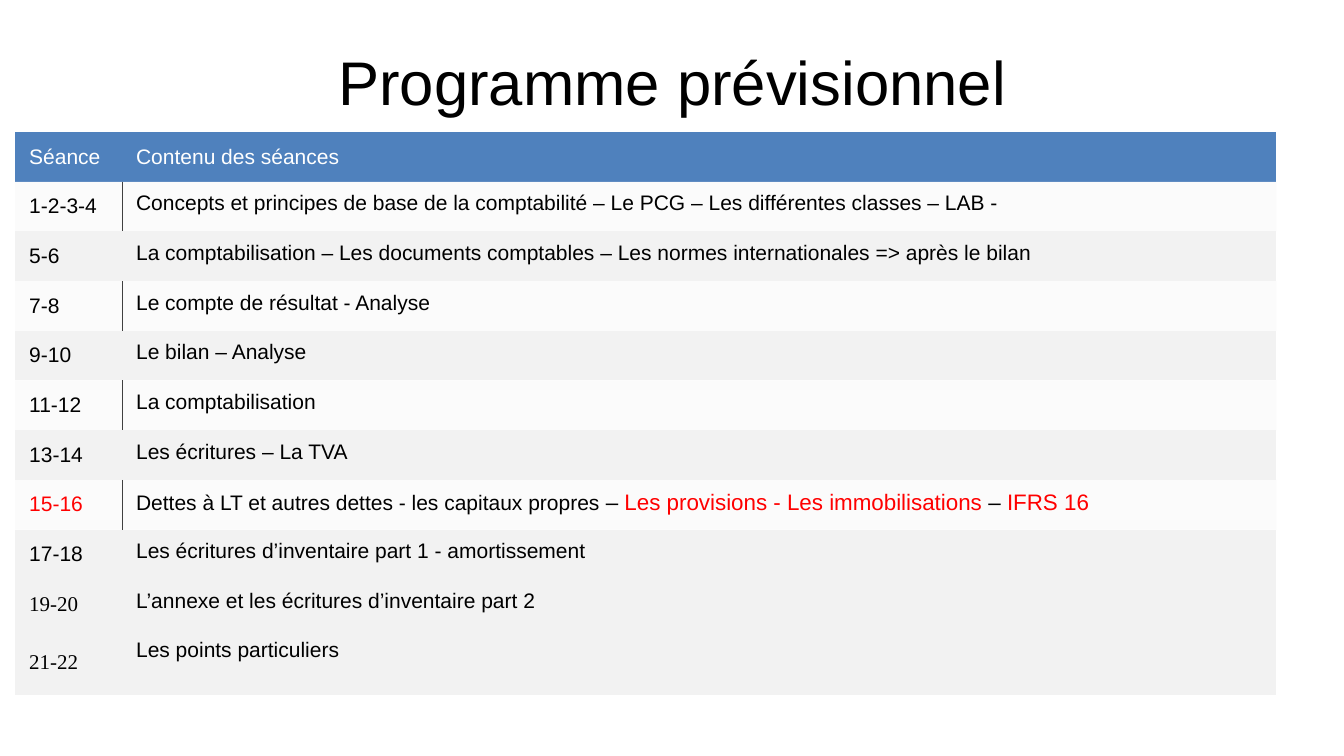
from dataclasses import dataclass

import pptx
import pptx.dml.color
import pptx.enum.text
import pptx.oxml
import pptx.oxml.ns
import pptx.util
from pptx.util import Inches


@dataclass(frozen=True)
class Theme:
    font: str = "Arial"
    serif: str = "Times New Roman"
    title: int = 44
    body: int = 15
    large: int = 16
    black: str = "000000"
    white: str = "FFFFFF"
    red: str = "FF0000"
    blue: str = "4F81BD"
    grey: str = "F2F2F2"
    line: str = "404040"


THEME = Theme()
ALIGN = pptx.enum.text.PP_ALIGN
ANCHOR = pptx.enum.text.MSO_ANCHOR
NO_STYLE = "{2D5ABB26-0587-4C30-8999-92F81FD0307C}"
HEAD = ("Séance", "Contenu des séances")
ROWS = [
    ("1-2-3-4", "Concepts et principes de base de la comptabilité – Le PCG – Les différentes classes – LAB -"),
    ("5-6", "La comptabilisation – Les documents comptables – Les normes internationales => après le bilan"),
    ("7-8", "Le compte de résultat - Analyse"),
    ("9-10", "Le bilan – Analyse"),
    ("11-12", "La comptabilisation"),
    ("13-14", "Les écritures – La TVA"),
    ("15-16", "Dettes à LT et autres dettes - les capitaux propres "),
    ("17-18", "Les écritures d’inventaire part 1 - amortissement"),
    ("19-20", "L’annexe et les écritures d’inventaire part 2"),
    ("21-22", "Les points particuliers"),
]
RED_ROW = 7
EXTRA = [
    ("– ", THEME.black),
    ("Les provisions - Les immobilisations", THEME.red),
    (" – ", THEME.black),
    ("IFRS 16", THEME.red),
]
LAST_BANDED = 7
FIRST_SERIF = 9


def rgb(code):
    return pptx.dml.color.RGBColor.from_string(code)


def style(run, size, color, font=THEME.font):
    run.font.size = pptx.util.Pt(size)
    run.font.name = font
    run.font.color.rgb = rgb(color)


def add_title(slide, text):
    box = slide.shapes.add_textbox(Inches(0.67), Inches(0.3), Inches(12), Inches(1))
    frame = box.text_frame
    frame.word_wrap = True
    frame.vertical_anchor = ANCHOR.MIDDLE
    frame.text = text
    para = frame.paragraphs[0]
    para.alignment = ALIGN.CENTER
    style(para.runs[0], THEME.title, THEME.black)


def fill_cell(cell, color, alpha=None):
    """Fill a cell; alpha is the opacity in percent."""
    cell.fill.solid()
    cell.fill.fore_color.rgb = rgb(color)
    if alpha:
        tint = cell._tc.tcPr.find(".//" + pptx.oxml.ns.qn("a:srgbClr"))
        tint.append(pptx.oxml.parse_xml(
            f'<a:alpha {pptx.oxml.ns.nsdecls("a")} val="{alpha * 1000}"/>'))


def add_border(cell, side):
    """Draw a thin line on side L or R of a cell."""
    cell._tc.get_or_add_tcPr().insert(0, pptx.oxml.parse_xml(
        f'<a:ln{side} {pptx.oxml.ns.nsdecls("a")} w="6350"><a:solidFill>'
        f'<a:srgbClr val="{THEME.line}"/></a:solidFill></a:ln{side}>'))


def set_cell(cell, text, color, font=THEME.font, anchor=ANCHOR.MIDDLE, align=ALIGN.LEFT):
    cell.margin_left, cell.margin_right = Inches(0.14), Inches(0.08)
    cell.margin_top = cell.margin_bottom = Inches(0.1)
    cell.vertical_anchor = anchor
    para = cell.text_frame.paragraphs[0]
    para.text = text
    para.alignment = align
    style(para.runs[0], THEME.body, color, font)


def add_plan(slide):
    count = len(ROWS) + 1
    frame = slide.shapes.add_table(count, 2, Inches(0.15), Inches(1.31), Inches(12.51), Inches(5.59))
    table = frame.table
    table.first_row = table.horz_banding = False
    table._tbl.tblPr.find(pptx.oxml.ns.qn("a:tableStyleId")).text = NO_STYLE
    table.columns[0].width, table.columns[1].width = Inches(1.06), Inches(11.45)
    for row in table.rows:
        row.height = Inches(0.493)
    table.rows[count - 1].height = Inches(0.66)

    for col, text in enumerate(HEAD):
        cell = table.cell(0, col)
        set_cell(cell, text, THEME.white)
        fill_cell(cell, THEME.blue)

    for num, (dates, topic) in enumerate(ROWS, 1):
        left, right = table.cell(num, 0), table.cell(num, 1)
        color = THEME.red if num == RED_ROW else THEME.black
        font = THEME.serif if num >= FIRST_SERIF else THEME.font
        set_cell(left, dates, color, font)
        set_cell(right, topic, THEME.black, anchor=ANCHOR.TOP, align=ALIGN.JUSTIFY)
        light = num % 2 == 1 and num <= LAST_BANDED
        for cell, side in ((left, "R"), (right, "L")):
            fill_cell(cell, THEME.grey, 30 if light else None)
            if light:
                add_border(cell, side)

    para = table.cell(RED_ROW, 1).text_frame.paragraphs[0]
    for text, color in EXTRA:
        run = para.add_run()
        run.text = text
        style(run, THEME.large, color)


def main():
    deck = pptx.Presentation()
    deck.slide_width, deck.slide_height = Inches(13.33), Inches(7.5)
    slide = deck.slides.add_slide(deck.slide_layouts[6])
    add_title(slide, "Programme prévisionnel")
    add_plan(slide)
    deck.save("out.pptx")


if __name__ == "__main__":
    main()
